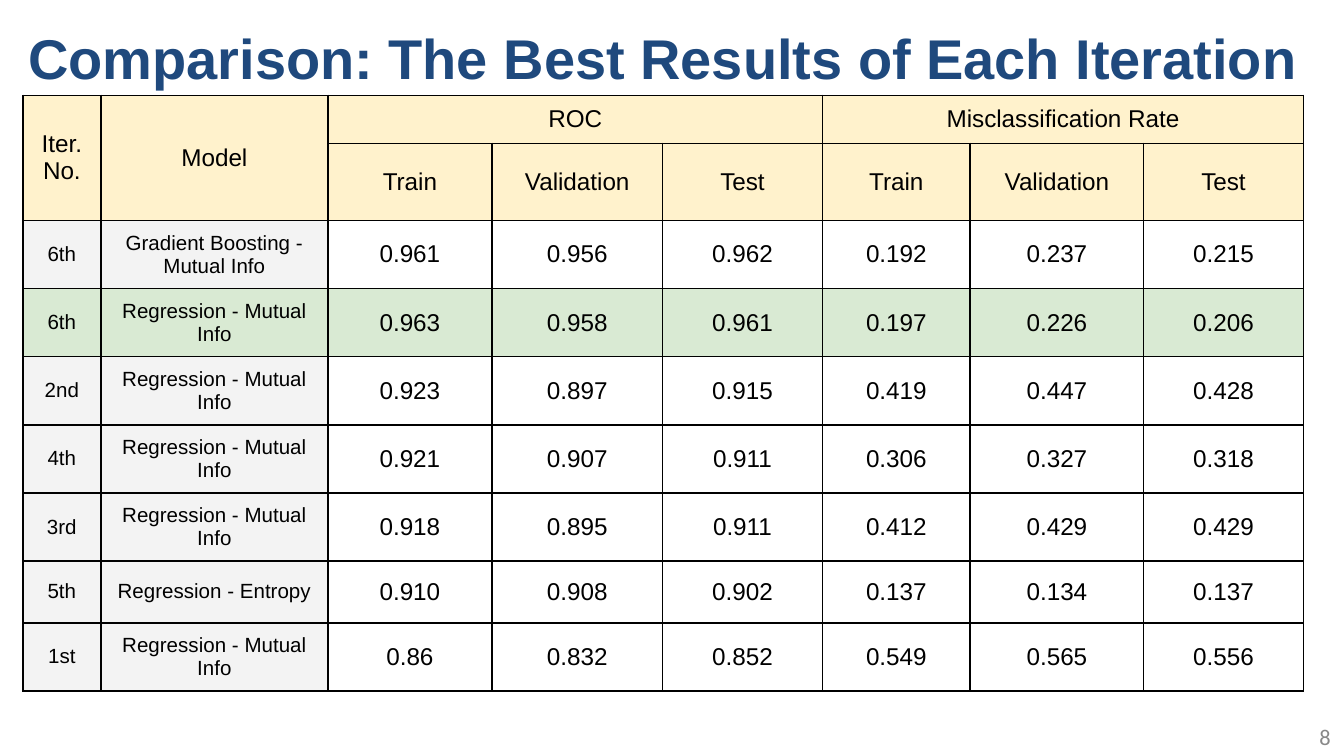
from lxml import etree
from pptx import Presentation
from pptx.dml.color import RGBColor
from pptx.enum.text import MSO_ANCHOR, MSO_AUTO_SIZE, PP_ALIGN
from pptx.oxml.ns import qn
from pptx.util import Inches, Pt

HEADER, LABEL, BEST, BLACK = "FFF2CC", "F3F3F3", "D9EAD3", "000000"
COLUMN_WIDTHS = [0.58, 1.69, 1.22, 1.27, 1.19, 1.1, 1.29, 1.19]
ROW_HEIGHTS = [0.3, 0.33] + [0.5] * 4 + [0.46] * 3
SPLITS = ["Train", "Validation", "Test"]
MUTUAL = "Regression - Mutual Info"
BEST_ROW = 1
RESULTS = [
    ["6th", "Gradient Boosting - Mutual Info", "0.961", "0.956", "0.962", "0.192", "0.237", "0.215"],
    ["6th", MUTUAL, "0.963", "0.958", "0.961", "0.197", "0.226", "0.206"],
    ["2nd", MUTUAL, "0.923", "0.897", "0.915", "0.419", "0.447", "0.428"],
    ["4th", MUTUAL, "0.921", "0.907", "0.911", "0.306", "0.327", "0.318"],
    ["3rd", MUTUAL, "0.918", "0.895", "0.911", "0.412", "0.429", "0.429"],
    ["5th", "Regression - Entropy", "0.910", "0.908", "0.902", "0.137", "0.134", "0.137"],
    ["1st", MUTUAL, "0.86", "0.832", "0.852", "0.549", "0.565", "0.556"],
]


def color(hex_value):
    return RGBColor.from_string(hex_value)


def style_text(frame, size, hex_value, align, font="Arial", bold=False):
    for para in frame.paragraphs:
        para.alignment = align
        for span in para.runs:
            span.font.name = font
            span.font.size = Pt(size)
            span.font.bold = bold
            span.font.color.rgb = color(hex_value)


def add_borders(cell):
    properties = cell._tc.get_or_add_tcPr()
    for side in ("lnL", "lnR", "lnT", "lnB"):
        line = etree.SubElement(properties, qn(f"a:{side}"), w=str(Pt(1)))
        fill = etree.SubElement(line, qn("a:solidFill"))
        etree.SubElement(fill, qn("a:srgbClr"), val=BLACK)


def format_cell(cell, text, size, fill):
    cell.text_frame.text = text
    cell.vertical_anchor = MSO_ANCHOR.MIDDLE
    cell.margin_left = cell.margin_right = Inches(0.07)
    cell.margin_top = cell.margin_bottom = Inches(0.07)
    style_text(cell.text_frame, size, BLACK, PP_ALIGN.CENTER)
    add_borders(cell)
    if fill:
        cell.fill.solid()
        cell.fill.fore_color.rgb = color(fill)
    else:
        cell.fill.background()


def add_title(slide, left, top, width, height):
    title = slide.shapes.title
    title.left, title.top = Inches(left), Inches(top)
    title.width, title.height = Inches(width), Inches(height)
    frame = title.text_frame
    frame.text = "Comparison: The Best Results of Each Iteration"
    frame.word_wrap = True
    frame.auto_size = MSO_AUTO_SIZE.SHAPE_TO_FIT_TEXT
    frame.vertical_anchor = MSO_ANCHOR.TOP
    frame.margin_left = frame.margin_right = Inches(0.1)
    frame.margin_top = frame.margin_bottom = Inches(0.1)
    frame.paragraphs[0].line_spacing = 1.15
    style_text(frame, 30, "1F497D", PP_ALIGN.LEFT, bold=True)


def add_results_table(slide, left, top, width, height):
    table = slide.shapes.add_table(
        len(ROW_HEIGHTS), len(COLUMN_WIDTHS),
        Inches(left), Inches(top), Inches(width), Inches(height)).table
    table.first_row = table.horz_banding = False
    for column, column_width in zip(table.columns, COLUMN_WIDTHS):
        column.width = Inches(column_width)
    for row, row_height in zip(table.rows, ROW_HEIGHTS):
        row.height = Inches(row_height)

    # Two header rows
    headers = [["Iter.\nNo.", "Model", "ROC", "", "", "Misclassification Rate", "", ""],
               ["", ""] + SPLITS * 2]
    for r, labels in enumerate(headers):
        for c, label in enumerate(labels):
            format_cell(table.cell(r, c), label, 13, HEADER)
    for c in (0, 1):
        table.cell(0, c).merge(table.cell(1, c))
    for c in (2, 5):
        table.cell(0, c).merge(table.cell(0, c + 2))

    # Results, with the best model highlighted
    for r, values in enumerate(RESULTS):
        for c, value in enumerate(values):
            is_label = c < 2
            fill = BEST if r == BEST_ROW else LABEL if is_label else None
            format_cell(table.cell(r + len(headers), c), value, 11 if is_label else 13, fill)


def add_page_number(slide, left, top, width, height):
    box = slide.shapes.add_textbox(Inches(left), Inches(top), Inches(width), Inches(height))
    frame = box.text_frame
    frame.text = "8"
    frame.word_wrap = True
    frame.vertical_anchor = MSO_ANCHOR.MIDDLE
    style_text(frame, 12, "888888", PP_ALIGN.RIGHT, font="Calibri")


def main():
    deck = Presentation()
    # Widescreen, 16:9
    deck.slide_width = Inches(10)
    deck.slide_height = deck.slide_width * 9 // 16
    slide = deck.slides.add_slide(deck.slide_layouts[5])
    add_page_number(slide, 7.67, 5.33, 2.33, 0.3)
    add_title(slide, 0.11, 0, 9.89, 0.71)
    add_results_table(slide, 0.17, 0.71, 9.54, 4.21)
    deck.save("out.pptx")


if __name__ == "__main__":
    main()
